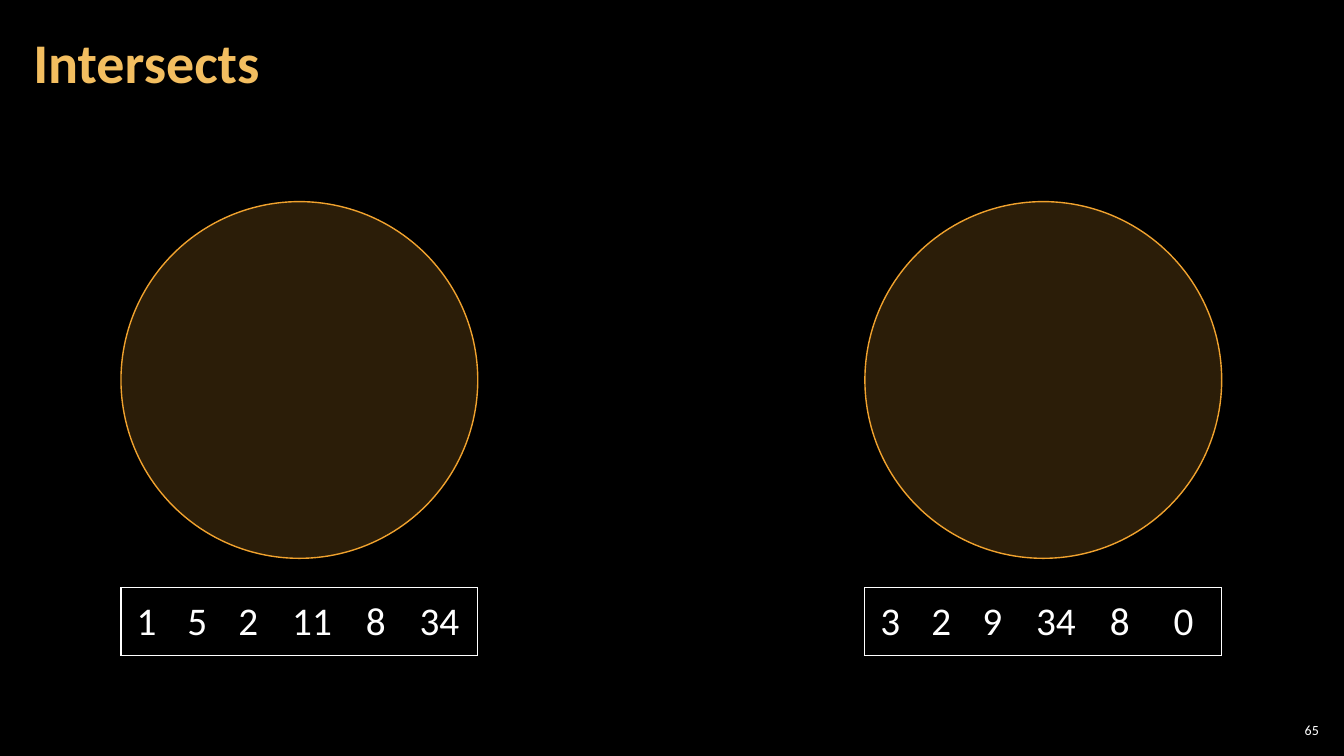
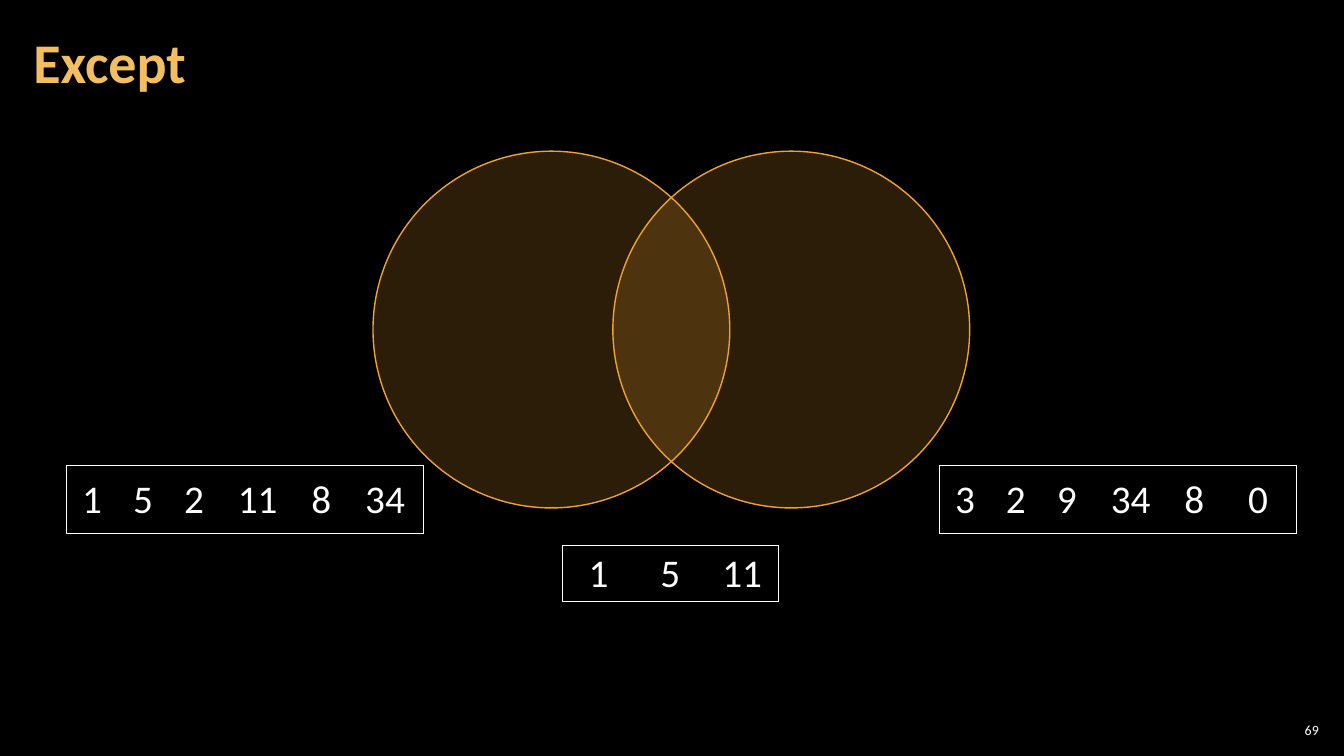
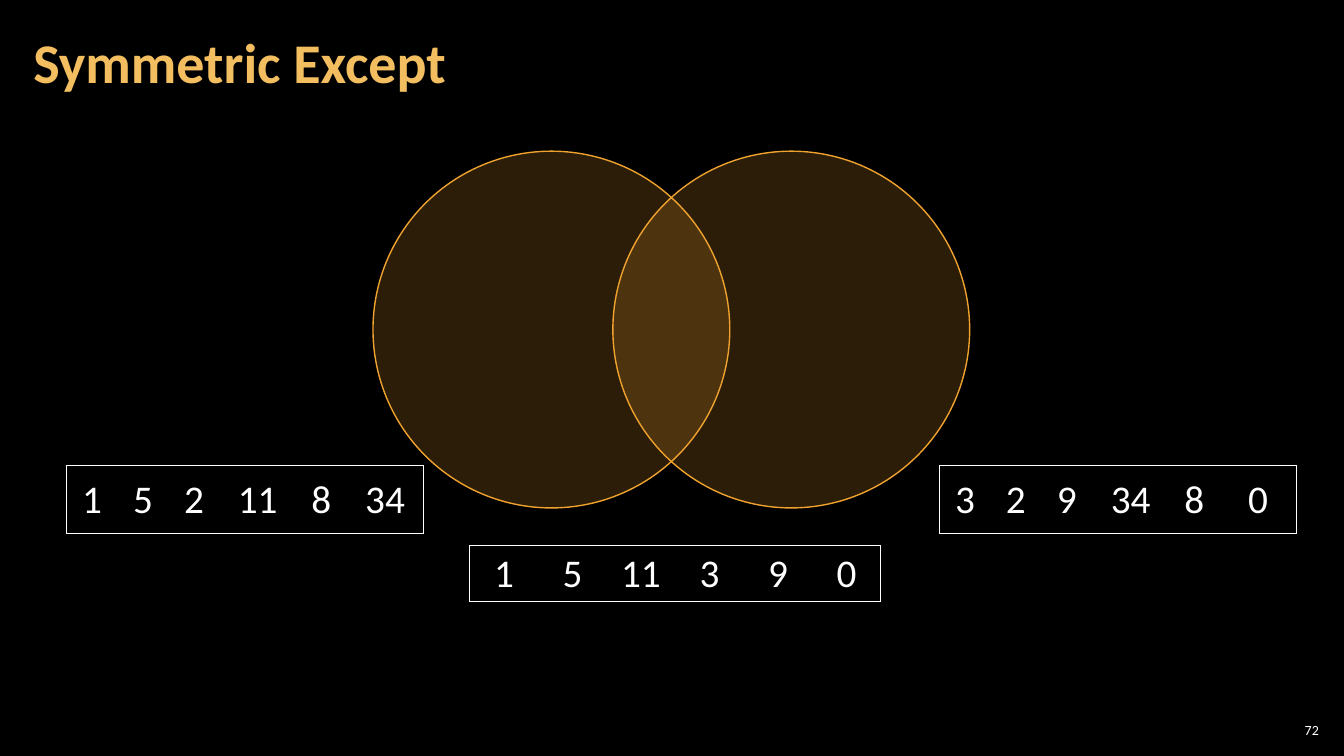
from dataclasses import dataclass

from lxml import etree
from pptx import Presentation
from pptx.dml.color import RGBColor
from pptx.enum.shapes import MSO_SHAPE
from pptx.enum.text import MSO_ANCHOR, PP_ALIGN
from pptx.oxml.ns import qn
from pptx.util import Inches, Pt

ELLIPSE = MSO_SHAPE.OVAL
MIDDLE = MSO_ANCHOR.MIDDLE
LEFT, CENTER, RIGHT = PP_ALIGN.LEFT, PP_ALIGN.CENTER, PP_ALIGN.RIGHT

SLIDE_W, SLIDE_H = Inches(13.33), Inches(7.5)
PLAIN_TABLE_STYLE = "{2D5ABB26-0587-4C30-8999-92F81FD0307C}"


@dataclass(frozen=True)
class Theme:
    font: str = "Calibri"
    background: str = "000000"
    text: str = "FFFFFF"
    title: str = "F3BE60"
    accent: str = "F0A22E"
    circle_opacity: int = 18
    title_size: int = 40
    value_size: int = 28
    page_size: int = 10
    line_width: int = 1


THEME = Theme()

# Shared measures, in percent of the slide's width (columns) or height (rows)
CIRCLE_W = 26.55
SET_H, RESULT_H = 8.93, 7.33
OVERLAP_COLUMNS, OVERLAP_TOP = (27.75, 45.6), 20
SET_COLUMNS, SET_TOP = (4.95, 69.9), 61.6
RESULT_TOP = 72.2

# The two sets; two-digit columns are wider than the others
FIRST_SET = (1, 5, 2, 11, 8, 34)
SECOND_SET = (3, 2, 9, 34, 8, 0)
SET_WEIGHTS = (2, 2, 2, 3, 2, 3)


def across(percent):
    return round(SLIDE_W * percent / 100)


def down(percent):
    return round(SLIDE_H * percent / 100)


def style_paragraph(paragraph, size, color, align, bold=False, spacing=1.0):
    paragraph.alignment = align
    paragraph.line_spacing = spacing
    for run in paragraph.runs:
        run.font.name = THEME.font
        run.font.size = Pt(size)
        run.font.bold = bold
        run.font.color.rgb = RGBColor.from_string(color)


def add_text(slide, text, left, top, width, height, side_margin, **style):
    box = slide.shapes.add_textbox(across(left), down(top), across(width), down(height))
    frame = box.text_frame
    frame.word_wrap = True
    frame.vertical_anchor = MIDDLE
    frame.margin_left = frame.margin_right = Inches(side_margin)
    frame.margin_top = frame.margin_bottom = Inches(0.04)
    frame.text = text
    style_paragraph(frame.paragraphs[0], **style)


def add_circle(slide, left, top):
    diameter = across(CIRCLE_W)
    circle = slide.shapes.add_shape(ELLIPSE, across(left), down(top), diameter, diameter)
    circle.shadow.inherit = False
    accent = RGBColor.from_string(THEME.accent)
    circle.fill.solid()
    circle.fill.fore_color.rgb = accent
    color = circle.fill._xPr.find(qn("a:solidFill"))[0]
    etree.SubElement(color, qn("a:alpha"), val=str(THEME.circle_opacity * 1000))
    circle.line.color.rgb = accent
    circle.line.width = Pt(THEME.line_width)


def set_borders(cell, visible):
    """Draw the named sides (L, R, T, B) and hide the others."""
    properties = cell._tc.get_or_add_tcPr()
    for side in "LRTB":
        line = etree.SubElement(properties, qn(f"a:ln{side}"), w=str(Pt(THEME.line_width)))
        if side in visible:
            fill = etree.SubElement(line, qn("a:solidFill"))
            etree.SubElement(fill, qn("a:srgbClr"), val=THEME.text)
        else:
            etree.SubElement(line, qn("a:noFill"))


def add_values(slide, values, weights, left, top, width, height):
    """One-row table with an outer frame only."""
    table = slide.shapes.add_table(
        1, len(values), across(left), down(top), across(width), down(height)).table
    table.first_row = table.horz_banding = False
    table._tbl.tblPr.find(qn("a:tableStyleId")).text = PLAIN_TABLE_STYLE
    table.rows[0].height = down(height)
    last = len(values) - 1
    for index, (value, weight) in enumerate(zip(values, weights)):
        table.columns[index].width = across(width * weight / sum(weights))
        cell = table.cell(0, index)
        set_borders(cell, "TB" + "L" * (index == 0) + "R" * (index == last))
        cell.fill.background()
        cell.vertical_anchor = MIDDLE
        cell.margin_left = cell.margin_right = Inches(0.13)
        cell.margin_top = cell.margin_bottom = Inches(0.05)
        cell.text = str(value)
        style_paragraph(cell.text_frame.paragraphs[0], THEME.value_size, THEME.text,
                        CENTER, spacing=0.95)


def add_set_slide(prs, title, page, circle_columns, circle_top, set_columns, set_top):
    slide = prs.slides.add_slide(prs.slide_layouts[6])
    # Page number and title
    add_text(slide, str(page), 94.9, 95.2, 3.53, 2.8, 0.04,
             size=THEME.page_size, color=THEME.text, align=RIGHT)
    add_text(slide, title, 1.58, 0.53, 78.54, 16.13, 0.12,
             size=THEME.title_size, color=THEME.title, align=LEFT, bold=True, spacing=0.9)
    # Circles, the left one in front
    for left in reversed(circle_columns):
        add_circle(slide, left, circle_top)
    # The two sets
    for values, left in zip((FIRST_SET, SECOND_SET), set_columns):
        add_values(slide, values, SET_WEIGHTS, left, set_top, CIRCLE_W, SET_H)
    return slide


def add_result_slide(prs, title, page, result, left, width):
    slide = add_set_slide(prs, title, page, OVERLAP_COLUMNS, OVERLAP_TOP,
                          SET_COLUMNS, SET_TOP)
    add_values(slide, result, [1] * len(result), left, RESULT_TOP, width, RESULT_H)


def main():
    prs = Presentation()
    prs.slide_width, prs.slide_height = SLIDE_W, SLIDE_H
    backdrop = prs.slide_master.background.fill
    backdrop.solid()
    backdrop.fore_color.rgb = RGBColor.from_string(THEME.background)

    apart = (9, 64.35)
    add_set_slide(prs, "Intersects", 65, apart, 26.67, apart, 77.75)
    add_result_slide(prs, "Except", 69, (1, 5, 11), 41.85, 16.05)
    add_result_slide(prs, "Symmetric Except", 72, (1, 5, 11, 3, 9, 0), 34.95, 30.6)
    prs.save("out.pptx")


if __name__ == "__main__":
    main()
